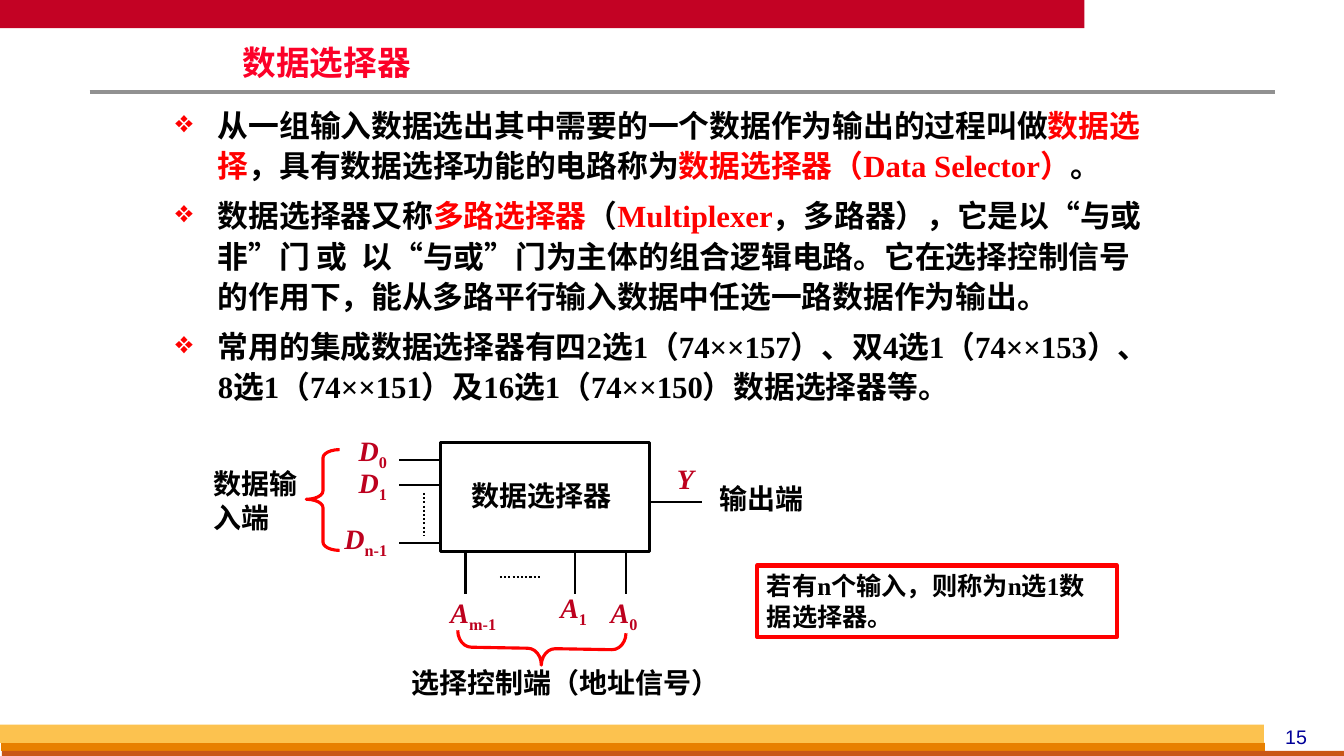
from lxml import etree
from pptx import Presentation
from pptx.dml.color import RGBColor
from pptx.enum import dml, shapes, text
from pptx.oxml import ns
from pptx.util import Cm, Pt

rgb = RGBColor.from_string
BLACK, RED, CRIMSON = "000000", "FF0000", "BD011E"

deck = Presentation()
deck.slide_width, deck.slide_height = Cm(33.87), Cm(19.05)
slide = deck.slides.add_slide(deck.slide_layouts[6])


def add_shape(kind, box, fill=None, line=None, width=0):
    shape = slide.shapes.add_shape(kind, *map(Cm, box))
    shape.shadow.inherit = False
    if fill:
        shape.fill.solid()
        shape.fill.fore_color.rgb = rgb(fill)
    else:
        shape.fill.background()
    if line:
        shape.line.color.rgb = rgb(line)
        shape.line.width = Pt(width)
    else:
        shape.line.fill.background()
    return shape


def write(frame, paragraphs, size, wrap=True, inset=(0.25, 0.13), bullet=None,
          face="Times New Roman", bold=True, **layout):
    """Each paragraph is a list of runs: (wording, colour, italic, baseline)."""
    side, edge = map(Cm, inset)
    settings = dict(word_wrap=wrap, vertical_anchor=text.MSO_ANCHOR.TOP,
                    margin_left=side, margin_right=side, margin_top=edge, margin_bottom=edge)
    for name, value in settings.items():
        setattr(frame, name, value)
    for index, runs in enumerate(paragraphs):
        paragraph = frame.add_paragraph() if index else frame.paragraphs[0]
        if bullet:
            props = paragraph._p.get_or_add_pPr()
            props.set("marL", str(Cm(1.07)))
            props.set("indent", str(-Cm(1.07)))
            colour = etree.SubElement(props, ns.qn("a:buClr"))
            etree.SubElement(colour, ns.qn("a:srgbClr")).set("val", RED)
            etree.SubElement(props, ns.qn("a:buChar")).set("char", bullet)
        for name, value in {"alignment": text.PP_ALIGN.LEFT, **layout}.items():
            setattr(paragraph, name, value)
        for wording, colour, italic, baseline in runs:
            run = paragraph.add_run()
            run.text = wording
            for name, value in dict(name=face, size=Pt(size), bold=bold, italic=italic).items():
                setattr(run.font, name, value)
            run.font.color.rgb = rgb(colour)
            if baseline:
                run._r.get_or_add_rPr().set("baseline", str(baseline))


# Bands at the top and bottom edges
RECT = shapes.MSO_SHAPE.RECTANGLE
for band, colour in [
    ((0, 0, 27.33, 0.71), "C30224"),
    ((0.03, 18.72, 31.85, 0.2), "E88000"),
    ((0.05, 18.92, 33.82, 0.13), "C95616"),
    ((0, 18.26, 31.85, 0.46), "FCC24F"),
]:
    add_shape(RECT, band, colour)

# Block and braces of the diagram
add_shape(RECT, (11.1, 11.15, 5.28, 2.74), line=BLACK, width=2.25)
for box, turn, curl, tip in [
    ((7.72, 11.33, 0.84, 2.54), 0, 0.25, 0.493),
    ((13.23, 14.22, 0.84, 4.24), 271, 0.417, 0.5),
]:
    brace = add_shape(shapes.MSO_SHAPE.LEFT_BRACE, box, line=RED, width=2.25)
    brace.rotation = turn
    brace.adjustments[0], brace.adjustments[1] = curl, tip

# Title rule, signal lines and dotted gaps
wires = [((2.26, 2.31, 32.13, 2.31), "919191", 3, False)]
wires += [((10.06, y, 11.1, y), BLACK, 1.5, False) for y in (11.58, 12.22, 13.69)]
wires += [((x, 13.92, x, 14.96), BLACK, 1.5, False) for x in (11.73, 14.5, 15.77)]
wires += [
    ((16.4, 12.65, 17.68, 12.65), BLACK, 1.5, False),
    ((10.69, 12.42, 10.69, 13.49), BLACK, 1.5, True),
    ((12.6, 14.55, 13.64, 14.55), BLACK, 1.5, True),
]
for ends, colour, width, dotted in wires:
    wire = slide.shapes.add_connector(shapes.MSO_CONNECTOR.STRAIGHT, *map(Cm, ends))
    wire.line.color.rgb = rgb(colour)
    wire.line.width = Pt(width)
    if dotted:
        wire.line.dash_style = dml.MSO_LINE.ROUND_DOT
    etree.SubElement(wire._element.spPr, ns.qn("a:effectLst"))

# Title, page number and explanation
title = slide.shapes.add_textbox(Cm(5.94), Cm(1.12), Cm(14.6), Cm(1.04))
write(title.text_frame, [[("数据选择器", "FC0128", False, 0)]], 24,
      inset=(0.18, 0.08), line_spacing=0.87)
number = slide.shapes.add_textbox(Cm(31.6), Cm(18.14), Cm(2.13), Cm(0.84))
write(number.text_frame, [[("15", "000099", False, 0)]], 14, face="Arial", bold=False,
      alignment=text.PP_ALIGN.CENTER)

# Runs alternate between black and red, starting with black
explanation = [
    ["从一组输入数据选出其中需要的一个数据作为输出的过程叫做", "数据选择",
     "，具有数据选择功能的电路称为", "数据选择器（Data Selector）", "。"],
    ["数据选择器又称", "多路选择器", "（", "Multiplexer",
     "，多路器），它是以“与或非”门 或  以“与或”门为主体的组合逻辑电路。"
     "它在选择控制信号的作用下，能从多路平行输入数据中任选一路数据作为输出。"],
    ["常用的集成数据选择器有四2选1（74××157）、双4选1（74××153）、"
     "8选1（74××151）及16选1（74××150）数据选择器等。"],
]
body = slide.shapes.add_textbox(Cm(4.24), Cm(2.51), Cm(25.1), Cm(7.95))
write(body.text_frame,
      [[(part, (BLACK, RED)[i % 2], False, 0) for i, part in enumerate(parts)]
       for parts in explanation],
      22, inset=(0.18, 0.08), bullet="❖", line_spacing=1.1, space_after=Pt(6.4))

# Signal names with subscripts
for letter, subscript, left, top, width, wrap in [
    ("D", "0", 8.79, 10.8, 1.47, True),
    ("D", "1", 8.79, 11.61, 1.4, True),
    ("D", "n-1", 8.43, 13, 1.9, True),
    ("A", "0", 15.14, 14.88, 1.22, False),
    ("A", "1", 13.87, 14.76, 1.4, True),
    ("A", "m-1", 11.1, 14.88, 1.78, False),
    ("Y", "", 16.81, 11.51, 0.94, False),
]:
    signal = slide.shapes.add_textbox(Cm(left), Cm(top), Cm(width), Cm(1.09))
    runs = [(letter, CRIMSON, True, 0)]
    if subscript:
        runs.append((subscript, CRIMSON, False, -25000))
    write(signal.text_frame, [runs], 20, wrap)

# Captions of the diagram
for wording, left, top, width, height, wrap in [
    ("数据选择器", 11.63, 11.94, 4.06, 1.09, False),
    ("数据输入端", 5.13, 11.63, 2.9, 1.96, True),
    ("输出端", 17.88, 12.01, 3.18, 1.09, True),
    ("选择控制端（地址信号）", 10.11, 16.64, 8.33, 1.09, False),
]:
    caption = slide.shapes.add_textbox(Cm(left), Cm(top), Cm(width), Cm(height))
    write(caption.text_frame, [[(wording, BLACK, False, 0)]], 20, wrap)

# Framed remark
remark = add_shape(RECT, (19.08, 14.25, 9.07, 1.8), "FFFFFF", RED, 3)
write(remark.text_frame, [[("若有n个输入，则称为n选1数据选择器。", BLACK, False, 0)]], 18)

deck.save("out.pptx")
